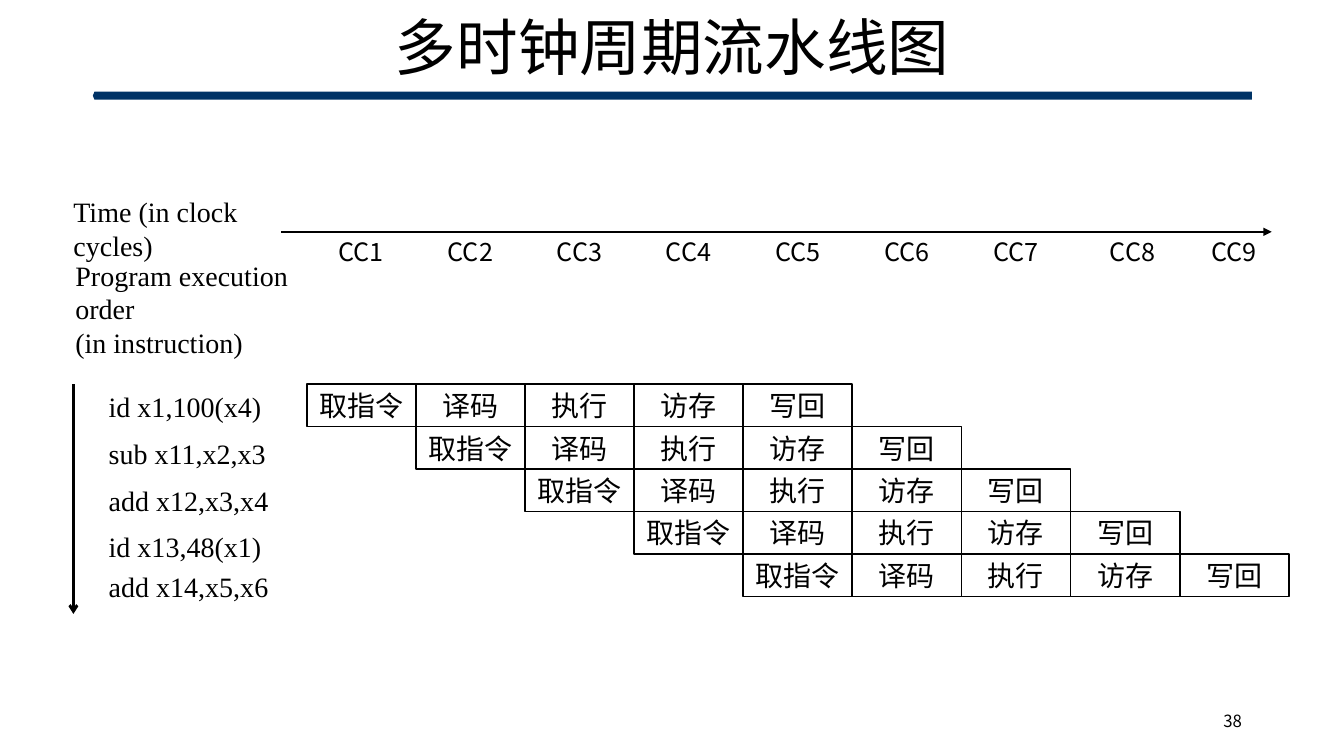
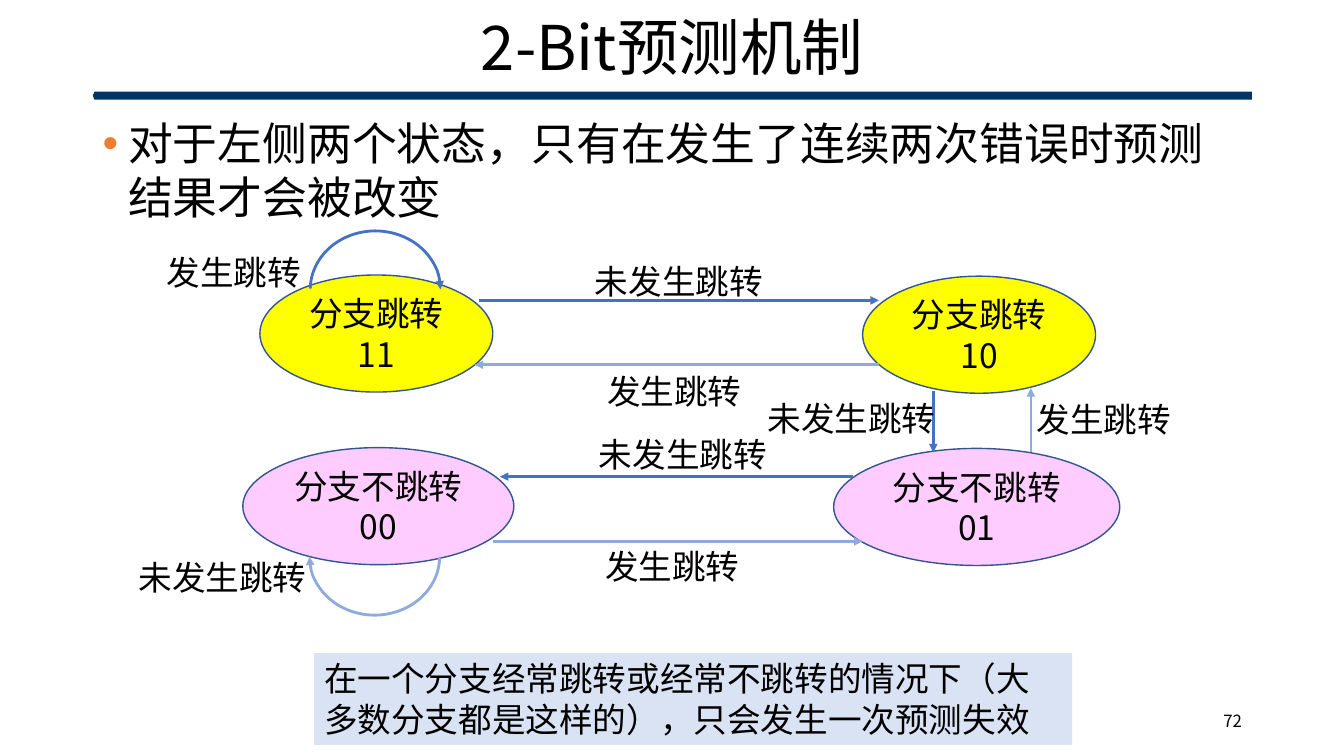
from lxml import etree
from pptx import Presentation
from pptx.dml.color import RGBColor
from pptx.enum import shapes, text
from pptx.oxml.ns import qn
from pptx.util import Cm, Pt

COLOURS = {
    "ink": "000000", "paper": "FFFFFF", "band": "003366", "bullet": "ED7D31",
    "note": "DAE3F3", "outline": "325491", "taken": "FFFF00",
    "untaken": "FFCCFF", "strong": "4472C4", "soft": "8FAADC",
}
SANS, SERIF = "Noto Sans CJK SC", "Times New Roman"
LEFT, CENTER, RIGHT = text.PP_ALIGN.LEFT, text.PP_ALIGN.CENTER, text.PP_ALIGN.RIGHT
TOP, MIDDLE = text.MSO_ANCHOR.TOP, text.MSO_ANCHOR.MIDDLE
SHAPE = shapes.MSO_SHAPE

# All places and sizes are in centimetres.
MARGIN, CONTENT_WIDTH = 2.34, 29.21

PIPELINE_TITLE, PIPELINE_NUMBER = "多时钟周期流水线图", "38"
STAGES = ["取指令", "译码", "执行", "访存", "写回"]
INSTRUCTIONS = [  # text, top
    ("id x1,100(x4)", 9.68),
    ("sub x11,x2,x3", 10.87),
    ("add x12,x3,x4", 12.07),
    ("id x13,48(x1)", 13.21),
    ("add x14,x5,x6", 14.22),
]
CYCLES = 9
CYCLE_SHIFTS = {8: 0.19}
GRID_LEFT, GRID_TOP, CELL_WIDTH, CELL_HEIGHT = 7.73, 9.68, 2.75, 1.07
AXIS_CAPTIONS = [  # lines, box
    (["Time (in clock cycles)"], (1.6, 4.78, 6.6, 1.12)),
    (["Program execution", "order", "(in instruction)"], (1.65, 6.38, 5.97, 2.82)),
]

PREDICTOR_TITLE, PREDICTOR_NUMBER = "2-Bit预测机制", "72"
RULE = "对于左侧两个状态，只有在发生了连续两次错误时预测结果才会被改变"
NOTE = "在一个分支经常跳转或经常不跳转的情况下（大多数分支都是这样的），只会发生一次预测失效"
STATE_HEIGHT = 2.95
STATES = [  # name, code, colour, left, top, width
    ("分支跳转", "11", "taken", 6.55, 6.93, 5.87),
    ("分支跳转", "10", "taken", 21.74, 6.96, 5.87),
    ("分支不跳转", "00", "untaken", 6.12, 11.28, 6.83),
    ("分支不跳转", "01", "untaken", 21.01, 11.3, 7.21),
]
TAKEN, UNTAKEN = "发生跳转", "未发生跳转"
TRANSITIONS = [  # colour, start, end, label, label place
    ("strong", (12.07, 7.57), (22.15, 7.57), UNTAKEN, (14.73, 6.45)),
    ("soft", (22.15, 9.19), (11.96, 9.19), TAKEN, (15.04, 9.22)),
    ("strong", (21.49, 12.01), (12.6, 12.01), UNTAKEN, (14.83, 10.8)),
    ("soft", (12.42, 13.64), (21.74, 13.64), TAKEN, (14.99, 13.64)),
    ("strong", (23.52, 9.86), (23.52, 11.4), UNTAKEN, (19.08, 9.91)),
    ("soft", (25.98, 11.4), (25.98, 9.78), TAKEN, (25.86, 9.93)),
]
SELF_LOOPS = [  # colour, place, rotation, label, label place
    ("strong", (7.82, 5.82), 0, TAKEN, (3.94, 6.22)),
    ("soft", (7.8, 12.55), 180, UNTAKEN, (3.23, 13.92)),
]


def rgb(name):
    return RGBColor.from_string(COLOURS[name])


def write(shape, lines, size, font=SANS, align=LEFT, anchor=TOP, wrap=True):
    """Fill a shape with one paragraph per line, all in one style."""
    frame = shape.text_frame
    frame.word_wrap = wrap
    frame.vertical_anchor = anchor
    frame.text = "\n".join(lines)
    for paragraph in frame.paragraphs:
        paragraph.alignment = align
        paragraph.font.size = Pt(size)
        paragraph.font.color.rgb = rgb("ink")
        paragraph.font.name = font
        defaults = paragraph._p.pPr.find(qn("a:defRPr"))
        etree.SubElement(defaults, qn("a:ea"), typeface=SANS)
    return frame


def add_text(slide, box, lines, size, **style):
    shape = slide.shapes.add_textbox(*map(Cm, box))
    return write(shape, lines, size, **style)


def add_shape(slide, kind, box, fill=None, line=None, width=1):
    shape = slide.shapes.add_shape(kind, *map(Cm, box))
    shape.shadow.inherit = False
    if fill:
        shape.fill.solid()
        shape.fill.fore_color.rgb = rgb(fill)
    else:
        shape.fill.background()
    if line:
        shape.line.color.rgb = rgb(line)
        shape.line.width = Pt(width)
    else:
        shape.line.fill.background()
    return shape


def add_arrowhead(shape, kind="triangle"):
    etree.SubElement(shape.line._get_or_add_ln(), qn("a:tailEnd"), type=kind)


def add_arrow(slide, start, end, colour, width, head="triangle"):
    arrow = slide.shapes.add_connector(
        shapes.MSO_CONNECTOR.STRAIGHT, *map(Cm, start + end))
    arrow.line.color.rgb = rgb(colour)
    arrow.line.width = Pt(width)
    add_arrowhead(arrow, head)
    etree.SubElement(arrow._element.spPr, qn("a:effectLst"))


def add_slide(presentation, title, number):
    """Add a slide with the shared band, title and page number."""
    slide = presentation.slides.add_slide(presentation.slide_layouts[6])
    band = add_shape(slide, SHAPE.PENTAGON, (MARGIN, 2.31, CONTENT_WIDTH, 0.2), "band")
    band.adjustments[0] = 0.2
    band.rotation = 180
    frame = add_text(slide, (MARGIN, 0.43, CONTENT_WIDTH, 1.68), [title], 44,
                     align=CENTER, anchor=MIDDLE)
    frame.paragraphs[0].line_spacing = 0.9
    add_text(slide, (23.93, 17.65, 7.62, 1.02), [number], 12,
             align=RIGHT, anchor=MIDDLE)
    return slide


def build_pipeline(presentation):
    slide = add_slide(presentation, PIPELINE_TITLE, PIPELINE_NUMBER)
    for lines, box in AXIS_CAPTIONS:
        add_text(slide, box, lines, 20, font=SERIF)
    add_arrow(slide, (7.09, 5.84), (32.05, 5.84), "ink", 1.25)
    add_arrow(slide, (1.85, 9.68), (1.85, 15.47), "ink", 2, head="arrow")

    label_width = 1.7
    for cycle in range(1, CYCLES + 1):
        middle = GRID_LEFT + (cycle - 0.5) * CELL_WIDTH + CYCLE_SHIFTS.get(cycle, 0)
        add_text(slide, (middle - label_width / 2, 5.84, label_width, 1.02),
                 [f"CC{cycle}"], 18, align=CENTER)

    for row, (instruction, top) in enumerate(INSTRUCTIONS):
        add_text(slide, (2.49, top, 5.3, 1.12), [instruction], 20, font=SERIF)
        for step, stage in enumerate(STAGES):
            box = (GRID_LEFT + (row + step) * CELL_WIDTH,
                   GRID_TOP + row * CELL_HEIGHT, CELL_WIDTH, CELL_HEIGHT)
            cell = add_shape(slide, SHAPE.RECTANGLE, box, "paper", "ink", 1.25)
            write(cell, [stage], 20, font=SERIF, align=CENTER, anchor=MIDDLE)


def add_bullet(paragraph):
    properties = paragraph._p.get_or_add_pPr()
    properties.set("marL", str(Cm(0.64)))
    properties.set("indent", str(-Cm(0.64)))
    colour = etree.SubElement(properties, qn("a:buClr"))
    etree.SubElement(colour, qn("a:srgbClr"), val=COLOURS["bullet"])
    etree.SubElement(properties, qn("a:buFont"), typeface="Arial")
    etree.SubElement(properties, qn("a:buChar"), char="•")
    # Default run properties must follow the bullet elements.
    properties.append(properties.find(qn("a:defRPr")))


def add_transition_label(slide, label, place):
    width = 0.85 * len(label) + 0.51
    add_text(slide, (*place, width, 1.27), [label], 24, align=CENTER, wrap=False)


def build_predictor(presentation):
    slide = add_slide(presentation, PREDICTOR_TITLE, PREDICTOR_NUMBER)
    frame = add_text(slide, (MARGIN, 2.79, CONTENT_WIDTH, 3), [RULE], 32)
    add_bullet(frame.paragraphs[0])
    note = add_shape(slide, SHAPE.RECTANGLE, (7.92, 16.46, 19.1, 2.31), "note")
    write(note, [NOTE], 24)

    for name, code, colour, left, top, width in STATES:
        state = add_shape(slide, SHAPE.OVAL, (left, top, width, STATE_HEIGHT),
                          colour, "outline")
        write(state, [name, code], 24, align=CENTER, anchor=MIDDLE)
    for colour, start, end, label, place in TRANSITIONS:
        add_arrow(slide, start, end, colour, 2)
        add_transition_label(slide, label, place)
    for colour, corner, rotation, label, place in SELF_LOOPS:
        loop = add_shape(slide, SHAPE.ARC, (*corner, 3.28, 2.95), line=colour, width=2)
        loop.adjustments[0] = 108.47
        loop.adjustments[1] = 0
        loop.rotation = rotation
        add_arrowhead(loop)
        add_transition_label(slide, label, place)


def main():
    presentation = Presentation()
    presentation.slide_width, presentation.slide_height = Cm(33.87), Cm(19.05)
    build_pipeline(presentation)
    build_predictor(presentation)
    presentation.save("out.pptx")


if __name__ == "__main__":
    main()
